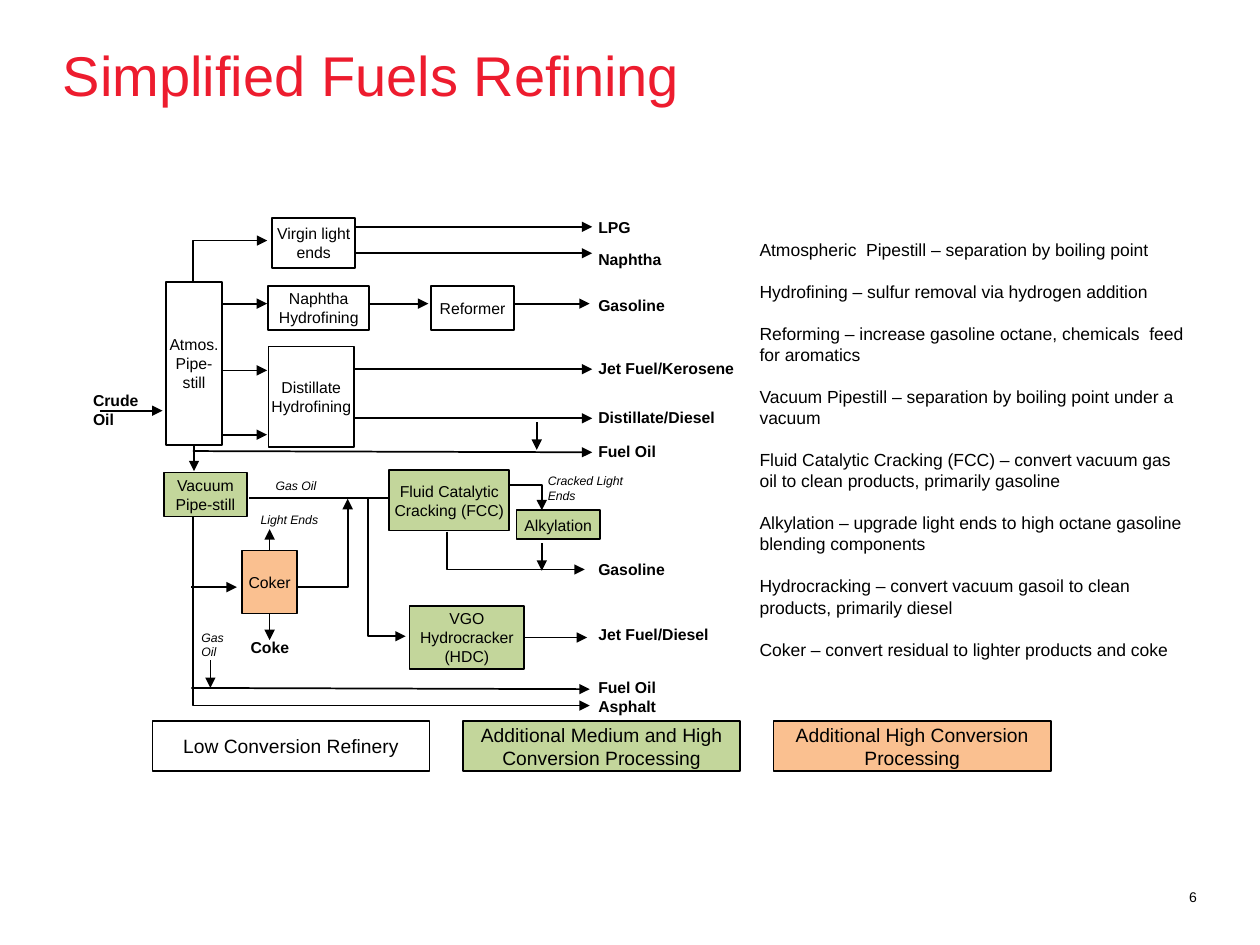
from lxml import etree
from pptx import Presentation
from pptx.dml.color import RGBColor
from pptx.enum.shapes import MSO_CONNECTOR, MSO_SHAPE
from pptx.enum.text import MSO_ANCHOR, MSO_AUTO_SIZE, PP_ALIGN
from pptx.oxml.ns import qn
from pptx.util import Inches, Pt

STRAIGHT, ELBOW = MSO_CONNECTOR.STRAIGHT, MSO_CONNECTOR.ELBOW
RECTANGLE = MSO_SHAPE.RECTANGLE
LEFT, CENTER, RIGHT = PP_ALIGN.LEFT, PP_ALIGN.CENTER, PP_ALIGN.RIGHT
MIDDLE = MSO_ANCHOR.MIDDLE
FIT_SHAPE = MSO_AUTO_SIZE.SHAPE_TO_FIT_TEXT
TOP_SIDE, BOTTOM_SIDE, RIGHT_SIDE = 0, 2, 3

BLACK, WHITE, RED = "000000", "FFFFFF", "ED1C2E"
GREEN, ORANGE = "C3D69B", "FAC090"


def color(value):
    return RGBColor.from_string(value)


class SlideBuilder:
    font = "Arial"
    ink = BLACK
    line_width = Pt(1)

    def __init__(self, slide):
        self.slide = slide

    def fill_text(self, shape, text, size, align=LEFT, ink=None, bold=False,
                  italic=False, gap=0, inset=None):
        frame = shape.text_frame
        frame.text = text
        if inset is not None:
            frame.margin_left = frame.margin_right = Inches(inset)
            frame.margin_top = frame.margin_bottom = Inches(inset)
        for index, para in enumerate(frame.paragraphs):
            para.alignment = align
            if index and gap:
                para.space_before = Pt(gap)
            for span in para.runs:
                span.font.name = self.font
                span.font.size = Pt(size)
                span.font.bold = bold
                span.font.italic = italic
                span.font.color.rgb = color(ink or self.ink)

    def text(self, place, text, size, wrap=True, **style):
        box = self.slide.shapes.add_textbox(*map(Inches, place))
        box.text_frame.word_wrap = wrap
        self.fill_text(box, text, size, **style)
        return box

    def label(self, place, text, size=9, **style):
        box = self.text(place, text, size, wrap=False, **style)
        box.text_frame.auto_size = FIT_SHAPE

    def box(self, place, text, fill=WHITE, size=9, inset=0.02):
        box = self.slide.shapes.add_shape(RECTANGLE, *map(Inches, place))
        box.shadow.inherit = False
        box.fill.solid()
        box.fill.fore_color.rgb = color(fill)
        box.line.color.rgb = color(self.ink)
        box.line.width = self.line_width
        box.text_frame.word_wrap = True
        box.text_frame.vertical_anchor = MIDDLE
        self.fill_text(box, text, size, align=CENTER, inset=inset)
        return box

    def connector(self, kind, start, end, arrow=True):
        line = self.slide.shapes.add_connector(kind, *map(Inches, start + end))
        line.line.color.rgb = color(self.ink)
        line.line.width = self.line_width
        properties = line._element.spPr
        if arrow:
            outline = properties.find(qn("a:ln"))
            etree.SubElement(outline, qn("a:tailEnd"), type="triangle")
        etree.SubElement(properties, qn("a:effectLst"))
        return line

    def arrow(self, start, end, source=None, side=None, arrow=True):
        line = self.connector(STRAIGHT, start, end, arrow)
        if source is not None:
            line.begin_connect(source, side)

    def elbow(self, start, end, vertical_first=False):
        turn = None
        if vertical_first:
            (x1, y1), (x2, y2) = start, end
            middle_x, middle_y = (x1 + x2) / 2, (y1 + y2) / 2
            half_width = abs(y2 - y1) / 2
            down = y2 > y1
            half_height = (x2 - x1) / 2 * (1 if down else -1)
            start = (middle_x + half_width, middle_y - half_height)
            end = (middle_x - half_width, middle_y + half_height)
            turn = 270 if down else 90
        line = self.connector(ELBOW, start, end)
        properties = line._element.spPr
        properties.find(qn("a:prstGeom")).set("prst", "bentConnector2")
        if turn:
            properties.find(qn("a:xfrm")).set("rot", str(turn * 60000))


def main():
    deck = Presentation()
    deck.slide_width, deck.slide_height = Inches(10), Inches(7.5)
    page = SlideBuilder(deck.slides.add_slide(deck.slide_layouts[6]))

    page.text((0.5, 0.32, 9, 0.83), "Simplified Fuels Refining", 32, ink=RED, inset=0)
    page.text((9.18, 7.05, 0.32, 0.19), "6", 8, align=RIGHT, inset=0)

    definitions = [
        "Atmospheric  Pipestill – separation by boiling point",
        "Hydrofining – sulfur removal via hydrogen addition",
        "Reforming – increase gasoline octane, chemicals  feed for aromatics",
        "Vacuum Pipestill – separation by boiling point under a vacuum",
        "Fluid Catalytic Cracking (FCC) – convert vacuum gas oil to clean products, primarily gasoline",
        "Alkylation – upgrade light ends to high octane gasoline blending components",
        "Hydrocracking – convert vacuum gasoil to clean products, primarily diesel",
        "Coker – convert residual to lighter products and coke",
    ]
    page.text((5.93, 1.85, 3.61, 3.47), "\n".join(definitions), 10, gap=12)

    page.box((2.16, 1.73, 0.66, 0.4), "Virgin light ends")
    atmospheric = page.box((1.32, 2.24, 0.44, 1.29), "Atmos.\nPipe-still")
    page.box((2.13, 2.27, 0.8, 0.35), "Naphtha Hydrofining")
    page.box((3.42, 2.27, 0.66, 0.35), "Reformer")
    page.box((2.13, 2.75, 0.68, 0.8), "Distillate Hydrofining")
    page.box((1.3, 3.75, 0.66, 0.35), "Vacuum Pipe-still", GREEN)
    coker = page.box((1.92, 4.37, 0.44, 0.5), "Coker", ORANGE)
    page.box((4.1, 4.05, 0.66, 0.23), "Alkylation", GREEN)
    hydrocracker = page.box((3.25, 4.81, 0.91, 0.5), "VGO Hydrocracker\n(HDC)", GREEN)
    page.box((3.09, 3.73, 0.95, 0.48), "Fluid Catalytic Cracking (FCC)", GREEN)

    products = [
        (1.68, 0.46, "LPG"), (1.93, 0.71, "Naphtha"), (2.3, 0.73, "Gasoline"),
        (2.8, 1.29, "Jet Fuel/Kerosene"), (3.19, 1.13, "Distillate/Diesel"),
        (3.46, 0.66, "Fuel Oil"), (4.39, 0.73, "Gasoline"),
        (4.91, 1.09, "Jet Fuel/Diesel"), (5.33, 0.66, "Fuel Oil"),
        (5.48, 0.66, "Asphalt"),
    ]
    for top, width, name in products:
        page.label((4.65, top, width, 0.25), name, bold=True)
    page.label((0.64, 3.05, 0.57, 0.4), "Crude\nOil", bold=True)
    page.label((1.89, 5.01, 0.51, 0.25), "Coke", bold=True)

    streams = [
        ((4.25, 3.71, 0.83, 0.34), "Cracked Light\nEnds"),
        ((2.09, 3.75, 0.53, 0.22), "Gas Oil"),
        ((1.5, 4.95, 0.41, 0.34), "Gas\nOil"),
        ((1.97, 4.02, 0.66, 0.22), "Light Ends"),
    ]
    for place, name in streams:
        page.label(place, name, 7, italic=True)

    for y in (1.8, 2.01, 2.93, 3.32):
        page.arrow((2.82, y), (4.7, y))
    for y in (2.41, 2.94, 3.45):
        page.arrow((1.76, y), (2.12, y))
    flows = [
        ((0.79, 3.26), (1.29, 3.26)),
        ((2.94, 2.41), (3.4, 2.41)),
        ((4.08, 2.41), (4.68, 2.41)),
        ((1.53, 3.58), (4.7, 3.59)),
        ((4.26, 3.35), (4.26, 3.57)),
        ((1.52, 4.66), (1.88, 4.66)),
        ((4.3, 4.31), (4.3, 4.53)),
        ((1.52, 5.46), (4.68, 5.47)),
        ((1.67, 5.24), (1.67, 5.46)),
    ]
    for start, end in flows:
        page.arrow(start, end)
    page.arrow((1.98, 3.95), (3.09, 3.95), arrow=False)
    page.arrow((1.54, 3.53), (1.54, 3.74), atmospheric, BOTTOM_SIDE)
    page.arrow((2.14, 4.37), (2.14, 4.2), coker, TOP_SIDE)
    page.arrow((2.14, 4.87), (2.14, 5.08), coker, BOTTOM_SIDE)
    page.arrow((4.16, 5.06), (4.66, 5.06), hydrocracker, RIGHT_SIDE)

    page.elbow((4.04, 3.85), (4.3, 4.05))
    page.elbow((2.36, 4.66), (2.76, 3.96))
    risers = [
        ((1.53, 2.24), (2.12, 1.91)),
        ((1.53, 4.1), (4.68, 5.6)),
        ((2.92, 3.95), (3.22, 5.05)),
        ((3.55, 4.22), (4.64, 4.52)),
    ]
    for start, end in risers:
        page.elbow(start, end, vertical_first=True)

    legend = [
        ("Low Conversion Refinery", WHITE),
        ("Additional Medium and High Conversion Processing", GREEN),
        ("Additional High Conversion Processing", ORANGE),
    ]
    for index, (name, fill) in enumerate(legend):
        page.box((1.21 + 2.465 * index, 5.72, 2.2, 0.4), name, fill, 11, inset=None)

    deck.save("out.pptx")


if __name__ == "__main__":
    main()
